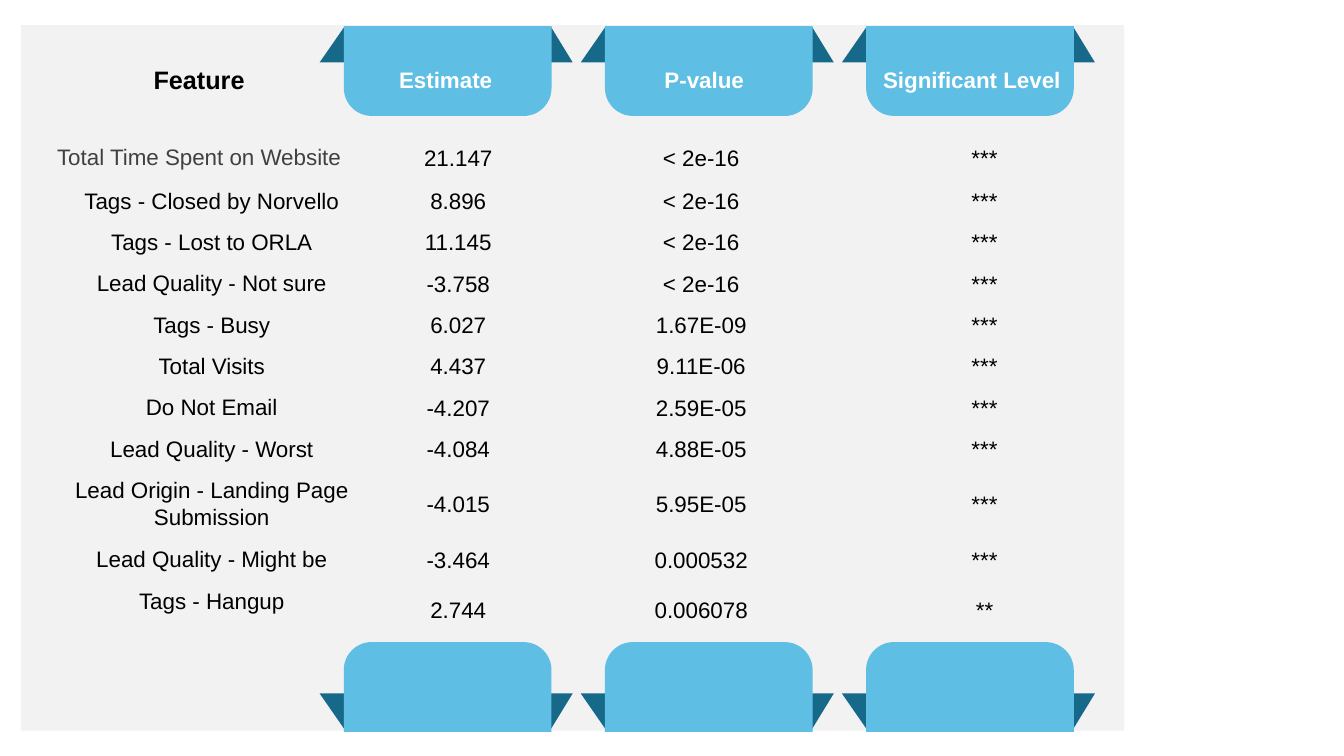
"""Build a slide with a table of model features under blue ribbon headers."""
import pptx
import pptx.dml.color
import pptx.enum.shapes
import pptx.enum.text
import pptx.util

Inches = pptx.util.Inches
SHAPES = pptx.enum.shapes.MSO_SHAPE
NO_GRID_STYLE = "{2D5ABB26-0587-4C30-8999-92F81FD0307C}"


def color(value):
    return pptx.dml.color.RGBColor.from_string(value)


def paint(shape, value):
    shape.shadow.inherit = False
    shape.fill.solid()
    shape.fill.fore_color.rgb = color(value)
    shape.line.fill.background()


deck = pptx.Presentation()
deck.slide_width = Inches(13.33)
deck.slide_height = Inches(7.5)
page = deck.slides.add_slide(deck.slide_layouts[6])

panel = page.shapes.add_shape(SHAPES.RECTANGLE, Inches(0.21), Inches(0.25), Inches(10.94), Inches(7))
paint(panel, "F2F2F2")

tab_lefts = [3.41 + 2.59 * column for column in range(3)]

for fold_y, edge_y in [(0.62, 0.26), (6.88, 7.24)]:
    for left in tab_lefts:
        outline = [(-0.24, fold_y), (0.01, edge_y), (2.05, edge_y), (2.27, fold_y)]
        points = [(Inches(left + x), Inches(y)) for x, y in outline]
        builder = page.shapes.build_freeform(*points[0])
        builder.add_line_segments(points[1:], close=True)
        paint(builder.convert_to_shape(), "17698A")

for top, rotation in [(0.26, 180), (6.37, 0)]:
    for left in tab_lefts:
        tab = page.shapes.add_shape(
            SHAPES.ROUND_2_SAME_RECTANGLE, Inches(left), Inches(top), Inches(2.06), Inches(0.89)
        )
        tab.adjustments[0] = 0.31
        tab.rotation = rotation
        paint(tab, "5EBEE4")

rows = [
    ("Feature", "Estimate", "P-value", "Significant Level"),
    ("Total Time Spent on Website", "21.147", "< 2e-16", "***"),
    ("Tags - Closed by Norvello", "8.896", "< 2e-16", "***"),
    ("Tags - Lost to ORLA", "11.145", "< 2e-16", "***"),
    ("Lead Quality - Not sure", "-3.758", "< 2e-16", "***"),
    ("Tags - Busy", "6.027", "1.67E-09", "***"),
    ("Total Visits", "4.437", "9.11E-06", "***"),
    ("Do Not Email", "-4.207", "2.59E-05", "***"),
    ("Lead Quality - Worst", "-4.084", "4.88E-05", "***"),
    ("Lead Origin - Landing Page Submission", "-4.015", "5.95E-05", "***"),
    ("Lead Quality - Might be", "-3.464", "0.000532", "***"),
    ("Tags - Hangup", "2.744", "0.006078", "**"),
]
column_widths = [3.23, 1.66, 3.16, 2.46]
row_heights = [1.09, 0.44] + [0.41] * 7 + [0.69, 0.41, 0.59]

frame = page.shapes.add_table(
    len(rows), len(column_widths), Inches(0.36), Inches(0.26), Inches(10.5), Inches(6.09)
)
table = frame.table
table.horz_banding = False
table._tbl.tblPr[0].text = NO_GRID_STYLE
for column, width in zip(table.columns, column_widths):
    column.width = Inches(width)
for row, height in zip(table.rows, row_heights):
    row.height = Inches(height)

for row_index, row in enumerate(rows):
    for column_index, text in enumerate(row):
        is_header = row_index == 0
        is_feature = column_index == 0
        cell = table.cell(row_index, column_index)
        cell.fill.background()
        cell.text_frame.text = text
        para = cell.text_frame.paragraphs[0]
        para.alignment = pptx.enum.text.PP_ALIGN.CENTER

        indent = 0
        if is_header and text == "P-value":
            indent = 0.31
        elif not is_header and not (is_feature and row_index == 1):
            indent = 0.25
            para.line_spacing = 1.07
            cell.margin_left = cell.margin_right = Inches(0.07)
            cell.margin_top = cell.margin_bottom = Inches(0.07)
        if indent:
            para._p.get_or_add_pPr().set("marL", str(Inches(indent)))

        if is_feature and row_index > 1:
            cell.vertical_anchor = pptx.enum.text.MSO_ANCHOR.TOP
        else:
            cell.vertical_anchor = pptx.enum.text.MSO_ANCHOR.MIDDLE

        ink = "000000"
        if is_header and not is_feature:
            ink = "FFFFFF"
        elif is_feature and row_index == 1:
            ink = "404040"
        font = para.runs[0].font
        font.name = "Arial"
        font.size = pptx.util.Pt(18 if is_header and is_feature else 16)
        font.bold = is_header
        font.color.rgb = color(ink)

deck.save("out.pptx")
